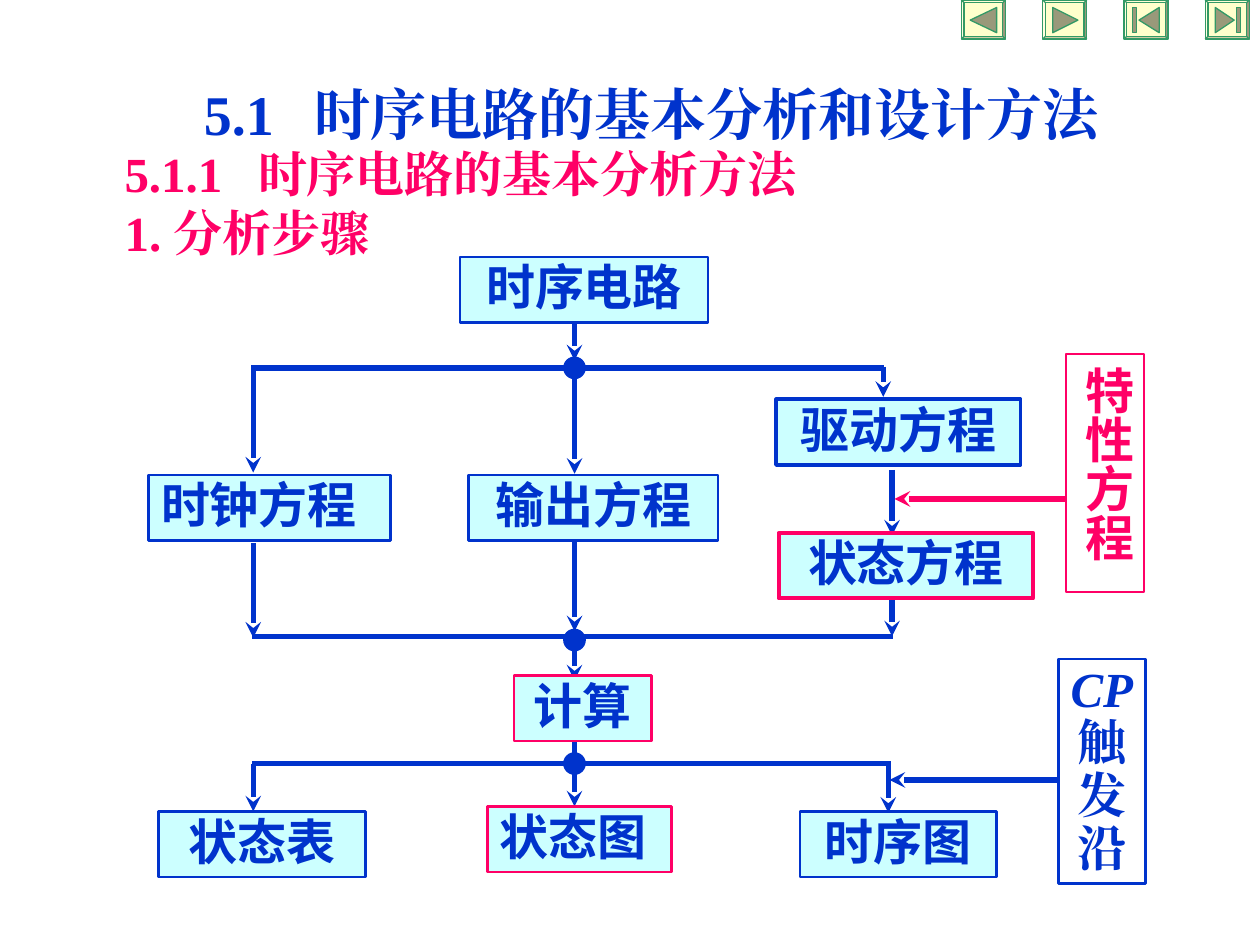
import pptx
import pptx.util
from pptx.dml.color import RGBColor
from pptx.enum.shapes import MSO_CONNECTOR, MSO_SHAPE
from pptx.enum.text import MSO_ANCHOR, PP_ALIGN
from pptx.oxml import parse_xml
from pptx.oxml.ns import nsdecls, qn
from pptx.util import Inches

BLUE = RGBColor(0x00, 0x33, 0xCC)
PINK = RGBColor(0xFF, 0x00, 0x66)
AQUA = RGBColor(0xCC, 0xFF, 0xFF)
WHITE = RGBColor(0xFF, 0xFF, 0xFF)
CREAM = RGBColor(0xFF, 0xFF, 0xCC)
OLIVE = RGBColor(0x99, 0x99, 0x7A)
GREEN = RGBColor(0x33, 0x99, 0x66)
SERIF = "Times New Roman"
SANS = "Noto Sans CJK SC"


def write(para, text, size=28, face=SANS, color=BLUE, italic=False,
          align=PP_ALIGN.LEFT, space=0.9, tab=None):
    """Put formatted text in a paragraph, with an optional tab stop."""
    para.alignment = align
    para.line_spacing = space
    if tab:
        para._p.get_or_add_pPr().append(parse_xml(
            f'<a:tabLst {nsdecls("a")}><a:tab pos="{Inches(tab)}" algn="l"/></a:tabLst>'))
    run = para.add_run()
    run.text = text
    font = run.font
    font.size = pptx.util.Pt(size)
    font.bold, font.italic = True, italic
    font.name = face
    font.color.rgb = color
    east = parse_xml(f'<a:ea {nsdecls("a")} typeface="{face}"/>')
    run._r.rPr.find(qn("a:latin")).addnext(east)


class Chart:
    """Flow chart style and the slide being drawn."""

    def __init__(self, slide):
        self.slide = slide
        self.shapes = slide.shapes

    def paint(self, shape, fill, line, width):
        shape.shadow.inherit = False
        shape.fill.solid()
        shape.fill.fore_color.rgb = fill
        shape.line.color.rgb = line
        shape.line.width = pptx.util.Pt(width)
        return shape

    def head(self, left, top, width, high, text, **style):
        box = self.shapes.add_textbox(*map(Inches, (left, top, width, high)))
        box.text_frame.word_wrap = True
        write(box.text_frame.paragraphs[0], text, face=SERIF, **style)

    def box(self, left, top, width, high, lines, fill=AQUA, line=BLUE,
            thick=1.5, align=PP_ALIGN.CENTER, **style):
        shape = self.shapes.add_shape(
            MSO_SHAPE.RECTANGLE, *map(Inches, (left, top, width, high)))
        self.paint(shape, fill, line, thick)
        frame = shape.text_frame
        frame.word_wrap = len(lines) == 1
        frame.vertical_anchor = MSO_ANCHOR.MIDDLE
        for i, text in enumerate(lines):
            para = frame.add_paragraph() if i else frame.paragraphs[0]
            write(para, text, align=align, italic=text == "CP", **style)
        return shape

    def line(self, x1, y1, x2, y2, color=BLUE, arrow=True):
        wire = self.shapes.add_connector(
            MSO_CONNECTOR.STRAIGHT, *map(Inches, (x1, y1, x2, y2)))
        wire.line.color.rgb = color
        wire.line.width = pptx.util.Pt(3)
        if arrow:
            wire.line._get_or_add_ln().append(
                parse_xml(f'<a:tailEnd {nsdecls("a")} type="stealth"/>'))
        wire._element.spPr.append(parse_xml(f'<a:effectLst {nsdecls("a")}/>'))

    def dot(self, x, y, size=0.17):
        spot = self.shapes.add_shape(MSO_SHAPE.OVAL, *map(
            Inches, (x - size / 2, y - size / 2, size, size)))
        self.paint(spot, BLUE, BLUE, 0.75)

    def button(self, left, marks):
        frame = self.shapes.add_shape(
            MSO_SHAPE.BEVEL, *map(Inches, (left, 0, 0.35, 0.31)))
        frame.adjustments[0] = 0.07
        self.paint(frame, CREAM, GREEN, 0.75)
        for mark in marks:
            points = [(Inches(left + x), Inches(y)) for x, y in mark]
            pen = self.shapes.build_freeform(*points[0])
            pen.add_line_segments(points[1:], close=True)
            self.paint(pen.convert_to_shape(), OLIVE, GREEN, 0.75)


def wedge(tip, base):
    return [(tip, 0.16), (base, 0.06), (base, 0.26)]


def bar(left):
    return [(left, 0.06), (left + 0.03, 0.06), (left + 0.03, 0.26), (left, 0.26)]


def main():
    deck = pptx.Presentation()
    deck.slide_width, deck.slide_height = Inches(10), Inches(7.5)
    chart = Chart(deck.slides.add_slide(deck.slide_layouts[6]))

    # Headings
    chart.head(1.52, 0.58, 8.54, 0.64, "5.1\t时序电路的基本分析和设计方法",
               size=32, space=1.0, tab=0.88)
    chart.head(0.89, 1.09, 5.7, 0.57, "5.1.1\t时序电路的基本分析方法",
               color=PINK, space=1.0, tab=1.06)
    chart.head(0.89, 1.61, 2.41, 0.52, "1. 分析步骤", color=PINK)

    # Wires: the three columns, then the bars that join them
    west, mid, east = 2.01, 4.56, 7.08
    for x, top, end in (
            (mid, 2.57, 2.86), (west, 2.9, 3.75), (mid, 2.92, 3.76),
            (7.01, 2.91, 3.15), (east, 3.73, 4.25),
            (west, 4.31, 5.06), (mid, 4.24, 5.01), (east, 4.69, 5.05),
            (mid, 5.05, 5.4), (west, 6.06, 6.44), (mid, 5.88, 6.4),
            (7.05, 6.04, 6.45)):
        chart.line(x, top, x, end)
    for y, end in ((2.92, 7.02), (5.05, 7.09), (6.06, 7.06)):
        chart.line(2, y, end, y, arrow=False)
    for y in (2.92, 5.08, 6.06):
        chart.dot(mid, y)

    # Side inputs
    chart.line(8.47, 3.96, 7.1, 3.96, color=PINK)
    chart.line(8.39, 6.19, 7.06, 6.19)

    # Steps
    left = PP_ALIGN.LEFT
    for x, y, width, text, style in (
            (3.65, 2.04, 1.97, "时序电路", {}),
            (1.18, 3.77, 1.92, "时钟方程", {"align": left}),
            (3.72, 3.77, 1.98, "输出方程", {}),
            (6.16, 3.17, 1.94, "驱动方程", {"thick": 2.25}),
            (6.18, 4.23, 2.02, "状态方程", {"thick": 2.25, "line": PINK}),
            (4.08, 5.36, 1.09, "计算", {"line": PINK}),
            (1.26, 6.44, 1.64, "状态表", {}),
            (3.87, 6.4, 1.46, "状态图", {"line": PINK, "align": left}),
            (6.35, 6.44, 1.56, "时序图", {})):
        chart.box(x, y, width, 0.52, [text], **style)

    # Side notes
    chart.box(8.4, 5.23, 0.69, 1.78, ["CP", "触", "发", "沿"],
              fill=WHITE, face=SERIF)
    note = chart.box(8.46, 2.81, 0.62, 1.89, ["特性方程"],
                     fill=WHITE, line=PINK, color=PINK)
    body = note.text_frame
    body._txBody.bodyPr.set("vert", "eaVert")
    body.margin_left = body.margin_right = Inches(0.05)
    body.margin_top = body.margin_bottom = Inches(0.1)

    # Page buttons: back, next, first, last
    for i, marks in enumerate((
            [wedge(0.07, 0.28)],
            [wedge(0.28, 0.08)],
            [wedge(0.12, 0.28), bar(0.07)],
            [wedge(0.23, 0.08), bar(0.25)])):
        chart.button(7.63 + 0.645 * i, marks)

    deck.save("out.pptx")


if __name__ == "__main__":
    main()
